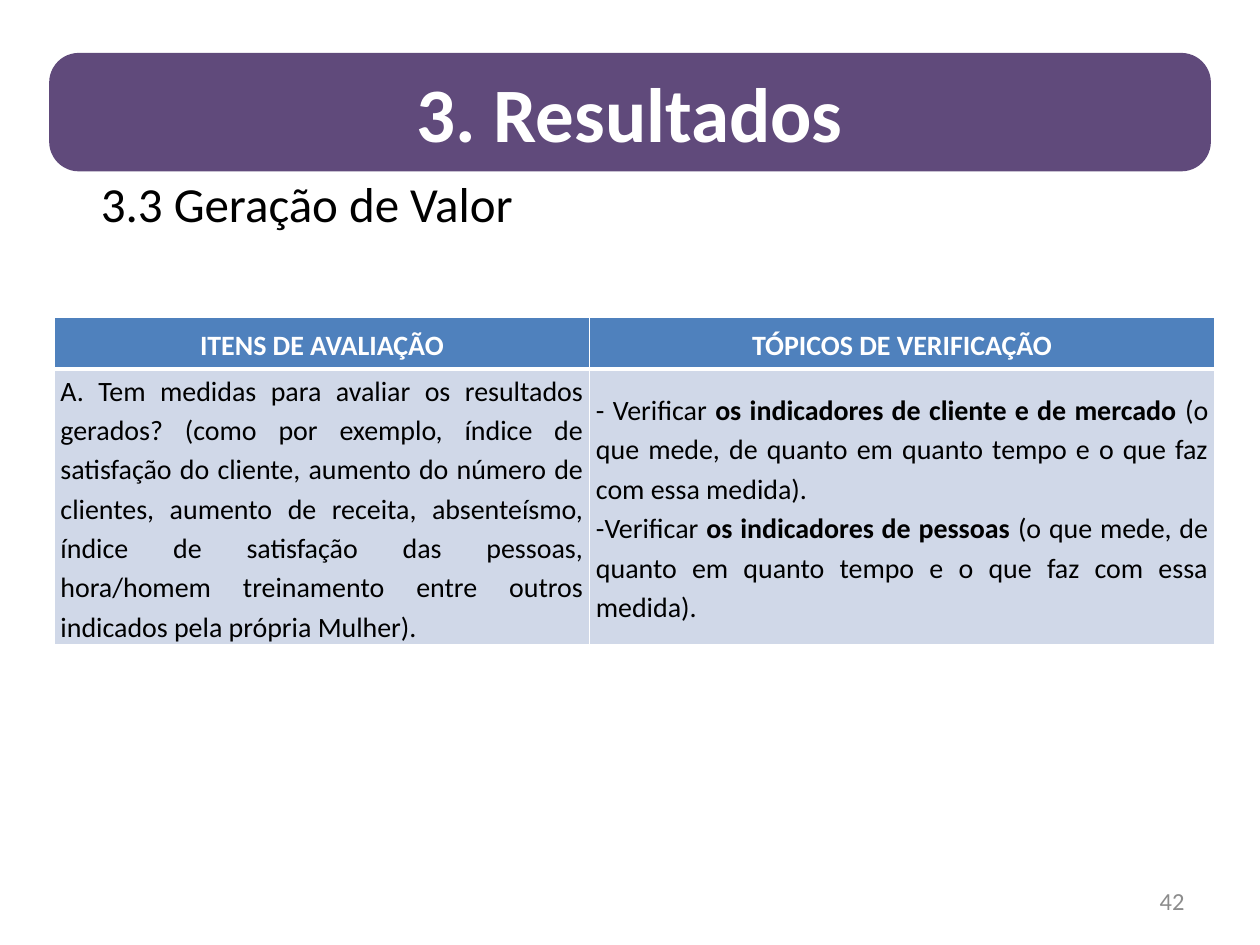
from pptx import Presentation
from pptx.dml.color import RGBColor
from pptx.enum.shapes import MSO_SHAPE
from pptx.enum.text import MSO_ANCHOR, PP_ALIGN
from pptx.oxml import parse_xml
from pptx.oxml.ns import nsdecls
from pptx.util import Inches, Pt

HEADINGS = ["ITENS DE AVALIAÇÃO", "TÓPICOS DE VERIFICAÇÃO"]
ASSESSMENT = [[
    "A. Tem medidas para avaliar os resultados gerados? (como por exemplo, "
    "índice de satisfação do cliente, aumento do número de clientes, aumento "
    "de receita, absenteísmo, índice de satisfação das pessoas, hora/homem "
    "treinamento entre outros indicados pela própria Mulher)."
]]
MEASURE = "(o que mede, de quanto em quanto tempo e o que faz com essa medida)."
CHECKS = [
    ["- Verificar ", "os indicadores de cliente e de mercado ", MEASURE],
    ["-Verificar ", "os indicadores de pessoas ", MEASURE],
]


def color(hex_code):
    """Turn a hex string into a colour."""
    return RGBColor.from_string(hex_code)


def write(frame, paragraphs, size=16, ink="000000", bold=False,
          align=PP_ALIGN.LEFT, spacing=None, anchor=MSO_ANCHOR.MIDDLE):
    """Write paragraphs of runs, where every second run has its weight switched."""
    frame.word_wrap = True
    frame.vertical_anchor = anchor
    for index, pieces in enumerate(paragraphs):
        paragraph = frame.add_paragraph() if index else frame.paragraphs[0]
        paragraph.alignment = align
        paragraph.line_spacing = spacing
        for position, piece in enumerate(pieces):
            run = paragraph.add_run()
            run.text = piece
            run.font.name = "Calibri"
            run.font.size = Pt(size)
            run.font.bold = bold != (position % 2 == 1)
            run.font.color.rgb = color(ink)


def place(element, left, top, width, height):
    """Move and size a slide element, in inches."""
    element.left, element.top = Inches(left), Inches(top)
    element.width, element.height = Inches(width), Inches(height)


def add_banner(slide, heading):
    """Add the rounded section banner."""
    banner = slide.shapes.add_shape(
        MSO_SHAPE.ROUNDED_RECTANGLE,
        Inches(0.39), Inches(0.42), Inches(9.22), Inches(0.94))
    banner.adjustments[0] = 0.25
    banner.shadow.inherit = False
    banner.fill.solid()
    banner.fill.fore_color.rgb = color("604A7B")
    banner.line.fill.background()
    write(banner.text_frame, [[heading]], size=44, ink="FFFFFF", bold=True,
          align=PP_ALIGN.CENTER)


def add_subtitle(slide, topic):
    """Fill the title placeholder with the topic under the banner."""
    subtitle = slide.shapes.title
    place(subtitle, 0.7, 1.33, 8.66, 1.07)
    write(subtitle.text_frame, [[topic]], size=28, anchor=MSO_ANCHOR.TOP)


def set_borders(cell, **widths):
    """Draw white cell borders with the given widths in points."""
    properties = cell._tc.get_or_add_tcPr()
    for index, (side, width) in enumerate(widths.items()):
        properties.insert(index, parse_xml(
            f'<a:{side} {nsdecls("a")} w="{Pt(width)}"><a:solidFill>'
            f'<a:srgbClr val="FFFFFF"/></a:solidFill></a:{side}>'))


def fill_cell(cell, paragraphs, fill, divider_top=1, divider_bottom=1, **style):
    """Format one table cell and write its text."""
    cell.margin_left = cell.margin_right = Inches(0.05)
    cell.margin_top = cell.margin_bottom = 0
    cell.vertical_anchor = MSO_ANCHOR.MIDDLE
    cell.fill.solid()
    cell.fill.fore_color.rgb = color(fill)
    set_borders(cell, lnL=1, lnR=1, lnT=divider_top, lnB=divider_bottom)
    write(cell.text_frame, paragraphs, spacing=1.15, anchor=None, **style)


def add_checklist(slide):
    """Add the table of assessment items and verification topics."""
    checklist = slide.shapes.add_table(
        2, 2, Inches(0.43), Inches(2.52), Inches(9.21), Inches(2.55)).table
    for column, width in zip(checklist.columns, (4.25, 4.96)):
        column.width = Inches(width)
    for row, height in zip(checklist.rows, (0.41, 2.14)):
        row.height = Inches(height)
    for index, heading in enumerate(HEADINGS):
        fill_cell(checklist.cell(0, index), [[heading]], "4F81BD",
                  divider_bottom=3, ink="FFFFFF", bold=True,
                  align=PP_ALIGN.CENTER)
    for index, paragraphs in enumerate((ASSESSMENT, CHECKS)):
        fill_cell(checklist.cell(1, index), paragraphs, "D0D8E8",
                  divider_top=3, align=PP_ALIGN.JUSTIFY)


def add_page_number(slide, number):
    """Add the page number at the bottom right."""
    page = slide.shapes.add_textbox(
        Inches(7.17), Inches(6.95), Inches(2.33), Inches(0.4))
    write(page.text_frame, [[number]], size=14, ink="8C8C8C",
          align=PP_ALIGN.RIGHT)


def main():
    """Build and save the slide."""
    deck = Presentation()
    deck.slide_width, deck.slide_height = Inches(10), Inches(7.5)
    slide = deck.slides.add_slide(deck.slide_layouts[5])
    add_checklist(slide)
    add_subtitle(slide, "3.3 Geração de Valor")
    add_banner(slide, "3. Resultados")
    add_page_number(slide, "42")
    deck.save("out.pptx")


if __name__ == "__main__":
    main()
